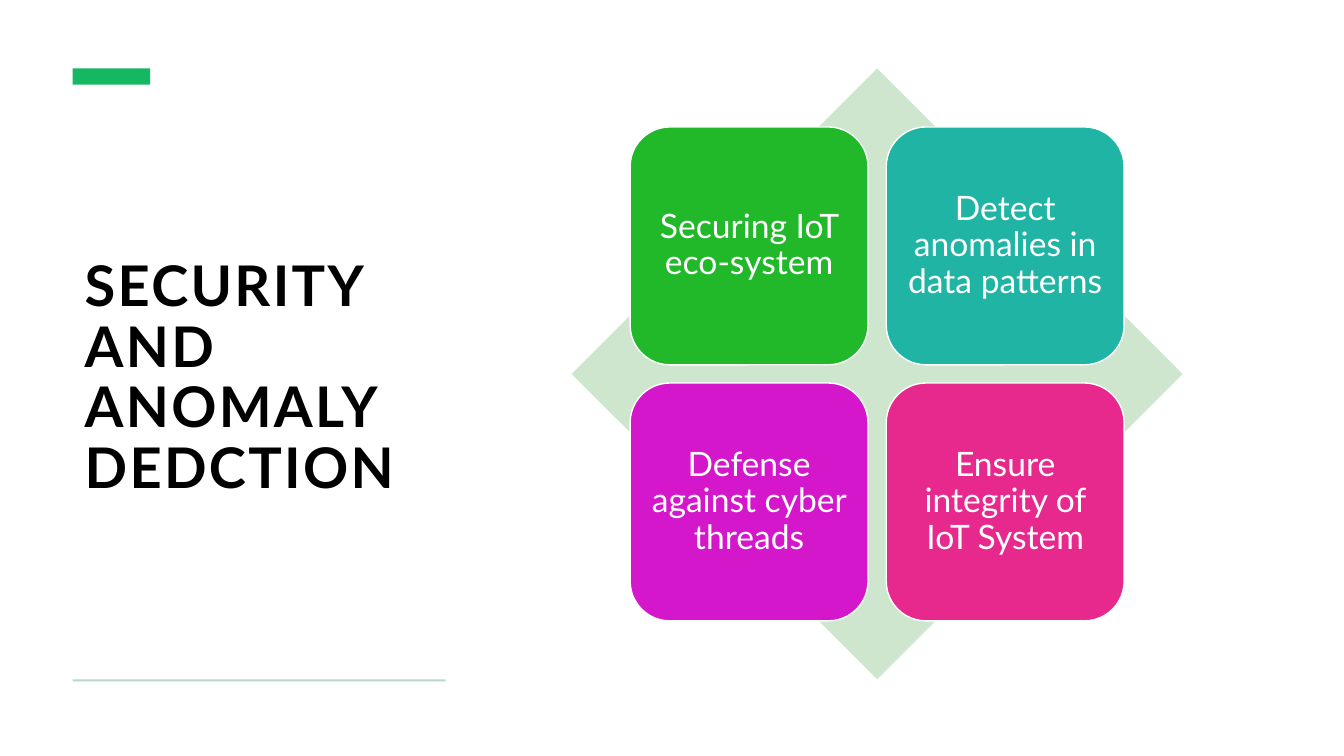
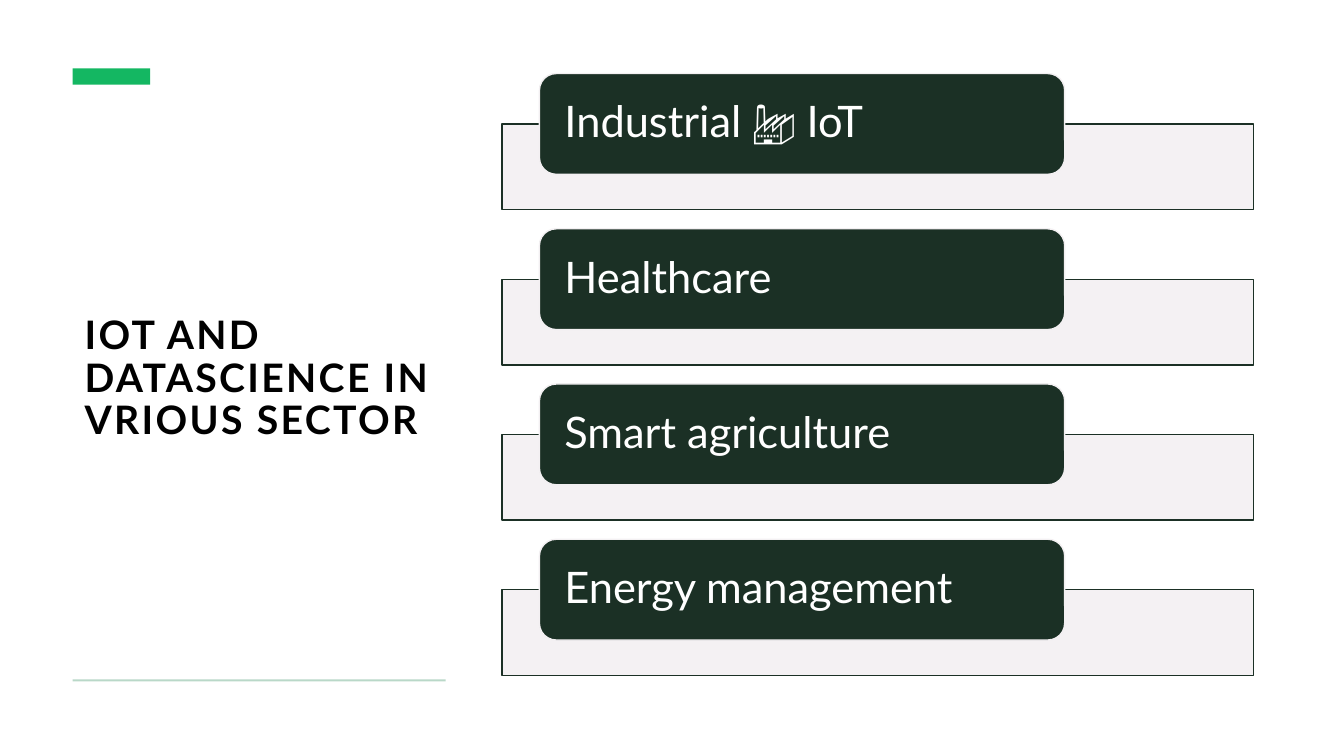
"""Build two slides on IoT security and the sectors that use IoT."""
from dataclasses import dataclass

from lxml.etree import SubElement
from pptx import Presentation
from pptx.dml.color import RGBColor
from pptx.enum.shapes import MSO_SHAPE
from pptx.enum.text import MSO_ANCHOR, PP_ALIGN
from pptx.oxml.ns import qn
from pptx.util import Inches, Pt


@dataclass(frozen=True)
class Theme:
    font: str = "Lato"
    white: str = "FFFFFF"
    black: str = "000000"
    accent: str = "14B762"
    rule: str = "B9D8C8"
    diamond: str = "CDE6CD"
    dark: str = "1B3025"
    pale: str = "F3F0F2"
    tiles: tuple = ("21B92A", "20B4A4", "D517CB", "E7298E")
    large: int = 40
    small: int = 28
    tile: int = 24
    bar: int = 31


theme = Theme()


def draw(slide, kind, box, fill, line=None):
    shape = slide.shapes.add_shape(kind, *map(Inches, box))
    shape.shadow.inherit = False
    shape.fill.solid()
    shape.fill.fore_color.rgb = RGBColor.from_string(fill)
    if line:
        shape.line.color.rgb = RGBColor.from_string(line)
        shape.line.width = Pt(1)
    else:
        shape.line.fill.background()
    return shape


def write(shape, text, size, color, align, insets, bold=False):
    frame = shape.text_frame
    frame.word_wrap = True
    frame.vertical_anchor = MSO_ANCHOR.MIDDLE
    frame.margin_left = frame.margin_right = Inches(insets[0])
    frame.margin_top, frame.margin_bottom = map(Inches, insets[1:])
    para = frame.paragraphs[0]
    para.text = text
    para.alignment = align
    para.line_spacing = 0.9
    para.font.name = theme.font
    para.font.size = Pt(size)
    para.font.bold = bold
    para.font.color.rgb = RGBColor.from_string(color)
    return para


deck = Presentation()
deck.slide_width, deck.slide_height = Inches(13.33), Inches(7.5)

slides = []
for title, size in (
    ("SECURITY AND ANOMALY DEDCTION", theme.large),
    ("IOT AND DATASCIENCE IN VRIOUS SECTOR", theme.small),
):
    slide = deck.slides.add_slide(deck.slide_layouts[6])
    box = slide.shapes.add_textbox(*map(Inches, (0.72, 1.05, 3.7, 5.41)))
    para = write(box, title, size, theme.black, PP_ALIGN.LEFT, (0.12, 0.12, 0.1), True)
    para.runs[0].font._element.set("spc", "170")
    draw(slide, MSO_SHAPE.RECTANGLE, (0.72, 0.68, 0.77, 0.16), theme.accent)
    draw(slide, MSO_SHAPE.RECTANGLE, (0.72, 6.74, 3.7, 0.02), theme.rule)
    slides.append(slide)

safety, sectors = slides

draw(safety, MSO_SHAPE.DIAMOND, (5.67, 0.68, 6.06, 6.06), theme.diamond)
goals = (
    "Securing IoT eco-system",
    "Detect anomalies in data patterns",
    "Defense against cyber threads",
    "Ensure integrity of IoT System",
)
side, pitch = 2.36, 2.54
for i, (goal, color) in enumerate(zip(goals, theme.tiles)):
    row, col = divmod(i, 2)
    place = (6.25 + col * pitch, 1.26 + row * pitch, side, side)
    tile = draw(safety, MSO_SHAPE.ROUNDED_RECTANGLE, place, color, theme.white)
    write(tile, goal, theme.tile, theme.white, PP_ALIGN.CENTER, (0.1, 0.1, 0.1))

fields = ("Industrial 🏭 IoT", "Healthcare", "Smart agriculture", "Energy management")
for i, field in enumerate(fields):
    top = 0.73 + i * 1.54
    panel = draw(sectors, MSO_SHAPE.RECTANGLE, (4.98, top + 0.5, 7.45, 0.85), theme.pale, theme.dark)
    tint = panel.fill._xPr.find(qn("a:solidFill"))[0]
    SubElement(tint, qn("a:alpha"), val="90000")
    bar = draw(sectors, MSO_SHAPE.ROUNDED_RECTANGLE, (5.35, top, 5.21, 1), theme.dark, theme.pale)
    write(bar, field, theme.bar, theme.white, PP_ALIGN.LEFT, (0.2, 0, 0))

deck.save("out.pptx")
